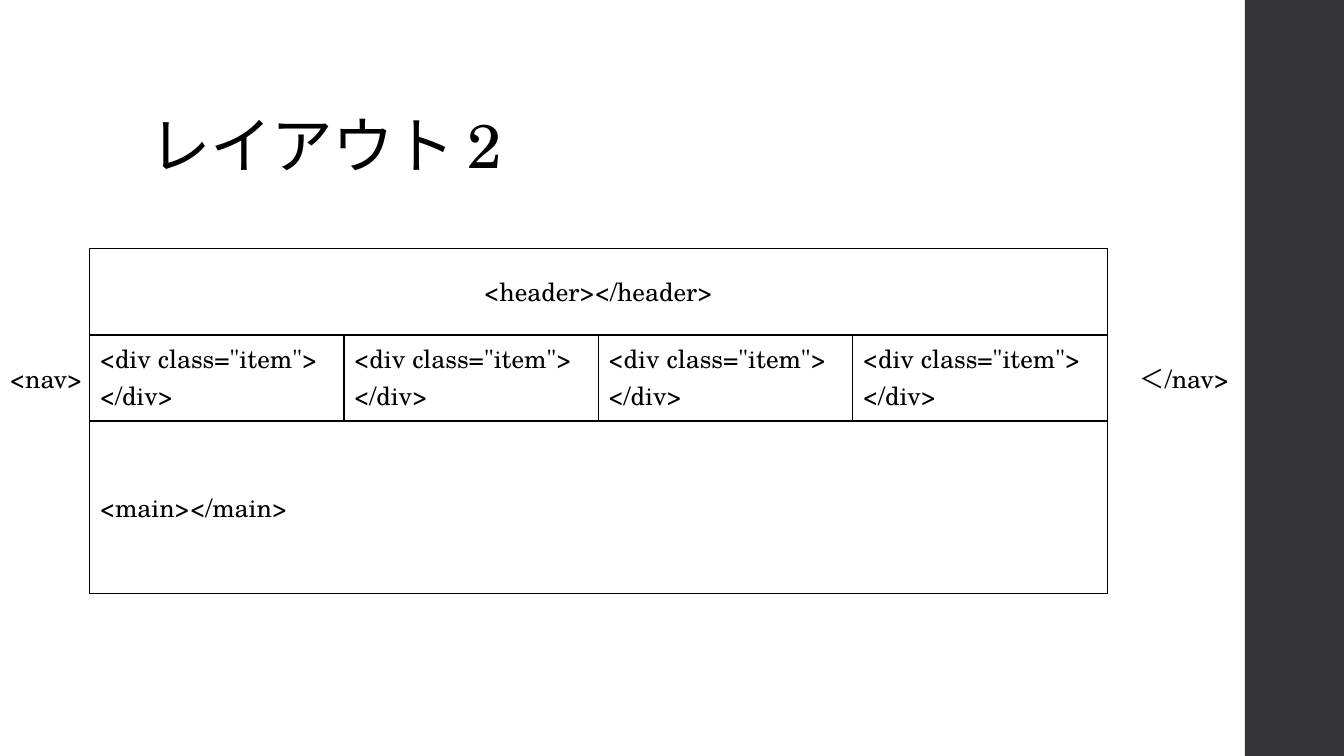
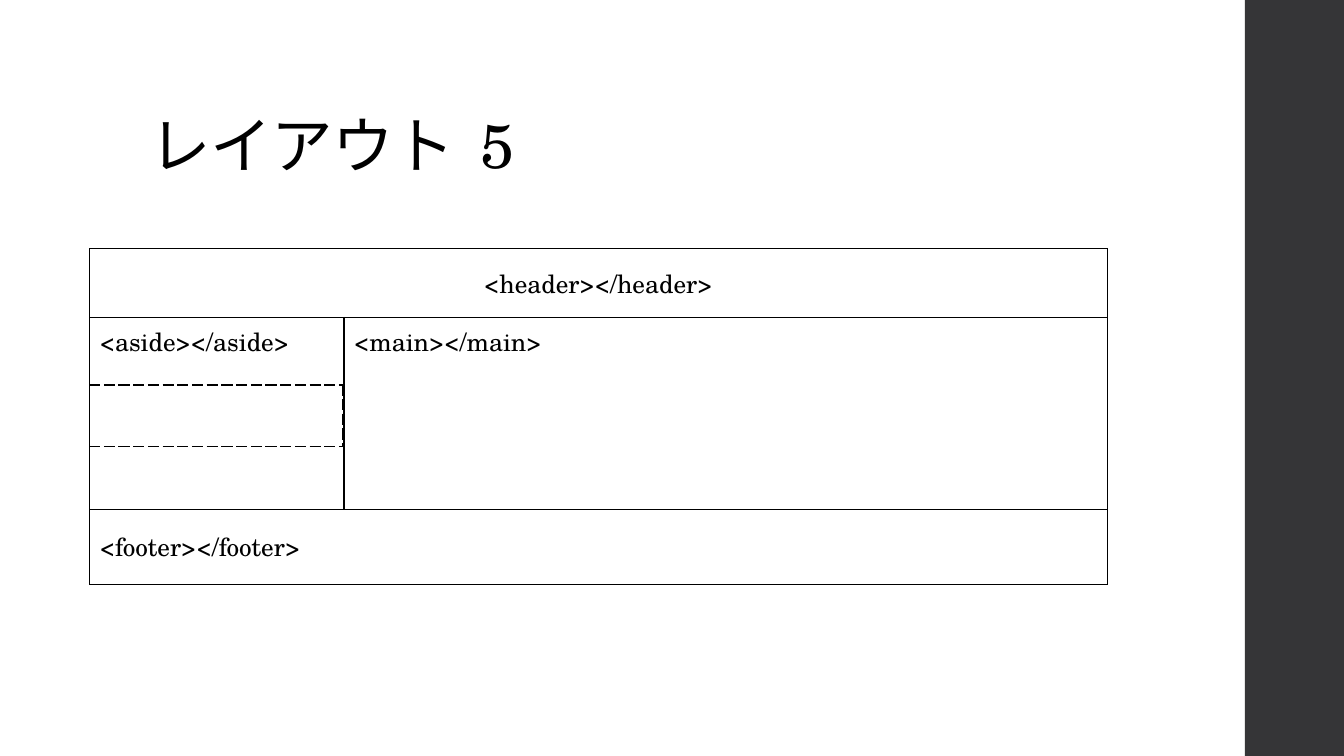
from dataclasses import dataclass

from lxml import etree
from pptx import Presentation
from pptx.dml.color import RGBColor
from pptx.enum.shapes import MSO_SHAPE
from pptx.enum.text import MSO_ANCHOR, MSO_AUTO_SIZE, PP_ALIGN
from pptx.oxml.ns import qn
from pptx.util import Cm, Pt

LEFT, CENTER = PP_ALIGN.LEFT, PP_ALIGN.CENTER
TOP, MIDDLE, BOTTOM = MSO_ANCHOR.TOP, MSO_ANCHOR.MIDDLE, MSO_ANCHOR.BOTTOM
RECTANGLE = MSO_SHAPE.RECTANGLE
NO_FIT, GROW = MSO_AUTO_SIZE.NONE, MSO_AUTO_SIZE.SHAPE_TO_FIT_TEXT
TITLE_ONLY = 5


@dataclass(frozen=True)
class Theme:
    font: str = "TeX Gyre Schola"
    ink: str = "000000"
    band: str = "353537"
    title_size: int = 44
    body_size: int = 18
    title_spacing: int = -50
    border: int = 1


THEME = Theme()
SLIDE_W, SLIDE_H = 33.87, 19.05
BAND_LEFT = 31.37
TITLE_BOX = (3.51, 1.02, 26.92, 3.68)
GRID_LEFT, GRID_TOP, UNIT = 2.26, 6.27, 6.41

ITEM = ('<div class="item">\n</div>', LEFT, TOP)
HEADER = ("<header></header>", CENTER, MIDDLE)

SLIDES = [
    {
        "title": "レイアウト 2",
        "tables": [
            {
                "at": (GRID_LEFT, GRID_TOP),
                "columns": [UNIT] * 4,
                "heights": [2.17, 2.17, 4.35],
                "rows": [[HEADER], [ITEM] * 4, [("<main></main>", LEFT, MIDDLE)]],
                "dash": "solid",
            },
        ],
        "labels": [
            ("<nav>", (0, 9.02, 16.97, 1.02)),
            ("＜/nav>", (28.47, 9.02, 3.12, 1.02)),
        ],
    },
    {
        "title": "レイアウト  5",
        "tables": [
            {
                "at": (GRID_LEFT, GRID_TOP),
                "columns": [UNIT, UNIT * 3],
                "heights": [1.73, 4.83, 1.9],
                "rows": [
                    [HEADER],
                    [("<aside></aside>", LEFT, TOP), ("<main></main>", LEFT, TOP)],
                    [("<footer></footer>", LEFT, MIDDLE)],
                ],
                "dash": "solid",
            },
            {
                "at": (GRID_LEFT, 9.7),
                "columns": [6.38],
                "heights": [1.56],
                "rows": [[("", LEFT, TOP)]],
                "dash": "sysDash",
            },
        ],
        "labels": [],
    },
]


def cm_all(lengths):
    return [Cm(length) for length in lengths]


def write(frame, text, size, align=LEFT):
    frame.text = text
    font_format = {"name": THEME.font, "size": Pt(size), "bold": False}
    for paragraph in frame.paragraphs:
        paragraph.alignment = align
        for font in [paragraph.font] + [run.font for run in paragraph.runs]:
            for attribute, value in font_format.items():
                setattr(font, attribute, value)
            font.color.rgb = RGBColor.from_string(THEME.ink)


def set_title(slide, text):
    title = slide.shapes.title
    places = zip(("left", "top", "width", "height"), cm_all(TITLE_BOX))
    for attribute, value in places:
        setattr(title, attribute, value)
    frame = title.text_frame
    write(frame, text, THEME.title_size)
    frame_format = {"vertical_anchor": BOTTOM, "word_wrap": True, "auto_size": NO_FIT}
    for attribute, value in frame_format.items():
        setattr(frame, attribute, value)
    for paragraph in frame.paragraphs:
        paragraph.line_spacing = 0.9
        for run in paragraph.runs:
            run.font._element.set("spc", str(THEME.title_spacing))


def draw_borders(cell, dash):
    properties = cell._tc.get_or_add_tcPr()
    for position, side in enumerate(("lnL", "lnR", "lnT", "lnB")):
        line = etree.Element(qn(f"a:{side}"), w=str(Pt(THEME.border)))
        fill = etree.SubElement(line, qn("a:solidFill"))
        etree.SubElement(fill, qn("a:srgbClr"), val=THEME.ink)
        etree.SubElement(line, qn("a:prstDash"), val=dash)
        properties.insert(position, line)


def add_grid(slide, at, columns, heights, rows, dash):
    table = slide.shapes.add_table(
        len(heights), len(columns), *cm_all((*at, sum(columns), sum(heights)))
    ).table
    table.first_row = table.horz_banding = False
    for column, width in zip(table.columns, cm_all(columns)):
        column.width = width
    for row, height in zip(table.rows, cm_all(heights)):
        row.height = height
    for cell in table.iter_cells():
        cell.fill.background()
        draw_borders(cell, dash)
    last = len(columns) - 1
    for row_index, row in enumerate(rows):
        if len(row) <= last:
            table.cell(row_index, 0).merge(table.cell(row_index, last))
        for column_index, (text, align, anchor) in enumerate(row):
            cell = table.cell(row_index, column_index)
            write(cell.text_frame, text, THEME.body_size, align)
            cell.vertical_anchor = anchor


def add_label(slide, text, box):
    frame = slide.shapes.add_textbox(*cm_all(box)).text_frame
    frame.word_wrap = True
    frame.auto_size = GROW
    write(frame, text, THEME.body_size)


def add_master_band(prs, slide):
    band = slide.shapes.add_shape(
        RECTANGLE, *cm_all((BAND_LEFT, 0, SLIDE_W - BAND_LEFT, SLIDE_H))
    )
    band.shadow.inherit = False
    band.fill.solid()
    band.fill.fore_color.rgb = RGBColor.from_string(THEME.band)
    band.line.fill.background()
    band.element.nvSpPr.cNvPr.set("id", "100")
    prs.slide_master.shapes.element.insert(2, band.element)


def main():
    prs = Presentation()
    prs.slide_width, prs.slide_height = cm_all((SLIDE_W, SLIDE_H))
    for content in SLIDES:
        slide = prs.slides.add_slide(prs.slide_layouts[TITLE_ONLY])
        set_title(slide, content["title"])
        for grid in content["tables"]:
            add_grid(slide, **grid)
        for text, box in content["labels"]:
            add_label(slide, text, box)
    add_master_band(prs, prs.slides[0])
    prs.save("out.pptx")


if __name__ == "__main__":
    main()
